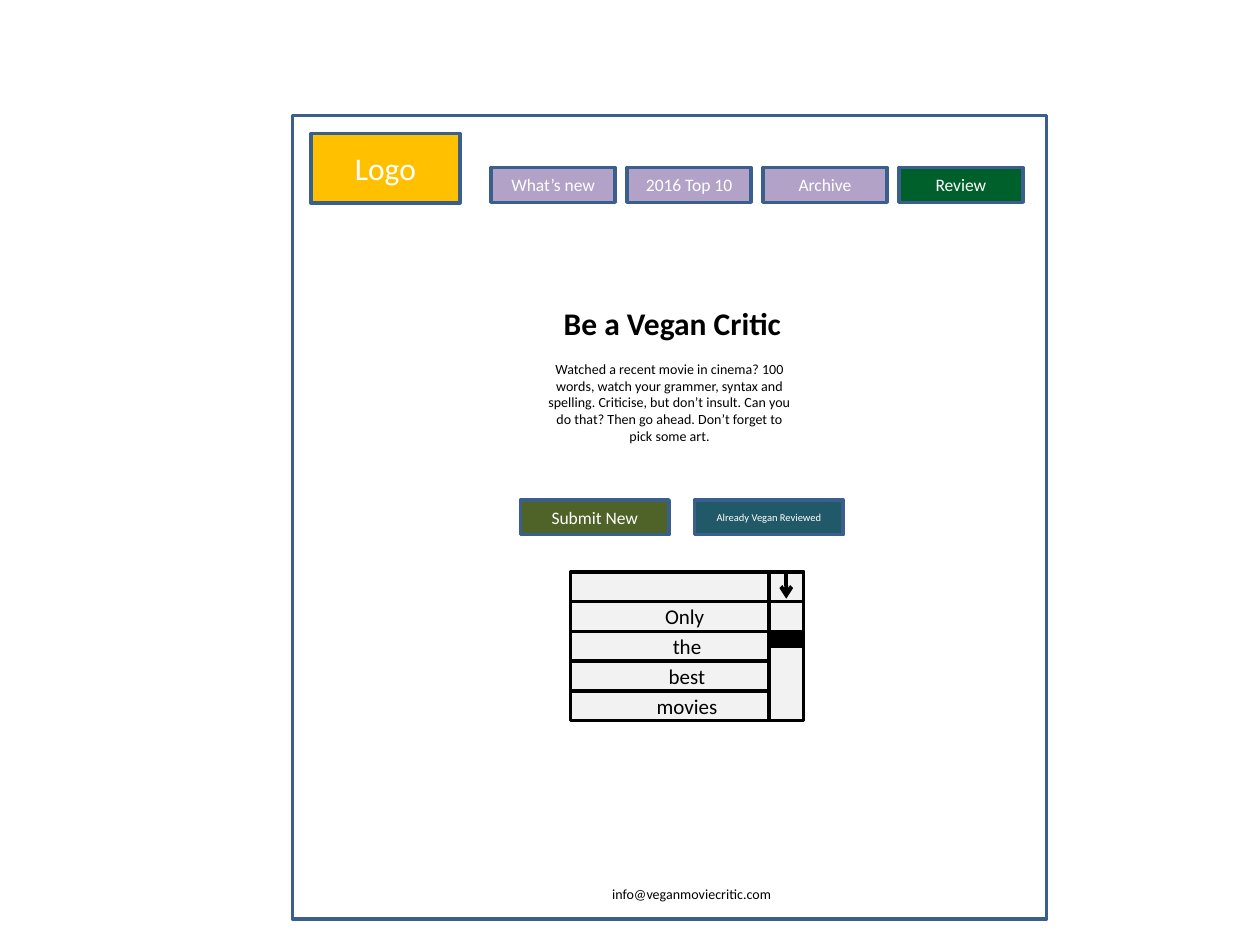
"""Build the wireframe slide of a film review site."""
from dataclasses import dataclass

from lxml import etree
from pptx import Presentation
from pptx import util as u
from pptx.dml import color
from pptx.enum import shapes, text
from pptx.oxml import ns

COLOURS = {
    "white": "FFFFFF", "black": "000000", "border": "3A5F8C",
    "purple": "B3A2C7", "green": "00602B", "olive": "4F6228",
    "teal": "215968", "gold": "FFC000", "grey": "F2F2F2",
}
FONT = "Calibri"


@dataclass
class Box:
    left: float
    top: float
    width: float
    height: float
    fill: str
    wording: str = ""
    size: float = 10
    border: str = "border"
    ink: str = "white"


@dataclass
class Caption:
    left: float
    top: float
    width: float
    height: float
    wording: str
    size: float
    align: text.PP_ALIGN = text.PP_ALIGN.CENTER
    bold: bool = False


def rgb(name: str) -> color.RGBColor:
    return color.RGBColor.from_string(COLOURS[name])


def write(frame, wording: str, size: float, ink: str, align, anchor, bold: bool = False) -> None:
    frame.text = wording
    frame.word_wrap = True
    frame.vertical_anchor = anchor
    paragraph = frame.paragraphs[0]
    paragraph.alignment = align
    for run in paragraph.runs:
        run.font.name = FONT
        run.font.size = u.Pt(size)
        run.font.bold = bold
        run.font.color.rgb = rgb(ink)


def draw_box(slide, box: Box):
    panel = slide.shapes.add_shape(
        shapes.MSO_SHAPE.RECTANGLE,
        u.Cm(box.left), u.Cm(box.top), u.Cm(box.width), u.Cm(box.height))
    panel.shadow.inherit = False
    panel.fill.solid()
    panel.fill.fore_color.rgb = rgb(box.fill)
    panel.line.color.rgb = rgb(box.border)
    panel.line.width = u.Pt(2)
    if box.wording:
        write(panel.text_frame, box.wording, box.size, box.ink,
              text.PP_ALIGN.CENTER, text.MSO_ANCHOR.MIDDLE)
    return panel


def set_caption(holder, caption: Caption) -> None:
    holder.left, holder.top = u.Cm(caption.left), u.Cm(caption.top)
    holder.width, holder.height = u.Cm(caption.width), u.Cm(caption.height)
    write(holder.text_frame, caption.wording, caption.size, "black",
          caption.align, text.MSO_ANCHOR.TOP, caption.bold)


def draw_arrow(slide, x: float, start: float, end: float) -> None:
    arrow = slide.shapes.add_connector(
        shapes.MSO_CONNECTOR.STRAIGHT, u.Cm(x), u.Cm(start), u.Cm(x), u.Cm(end))
    arrow.line.color.rgb = rgb("black")
    arrow.line.width = u.Pt(2.25)
    etree.SubElement(arrow.line._get_or_add_ln(), ns.qn("a:tailEnd"), type="arrow")
    etree.SubElement(arrow.element.spPr, ns.qn("a:effectLst"))


def main() -> None:
    deck = Presentation()
    deck.slide_width, deck.slide_height = u.Cm(25.4), u.Cm(19.05)
    slide = deck.slides.add_slide(deck.slide_layouts[5])

    page = draw_box(slide, Box(5.9, 2.33, 15.2, 16.2, "white"))
    heading = slide.shapes.title
    page.element.addnext(heading.element)
    set_caption(heading, Caption(8.43, 6, 10.25, 1.02, "Be a Vegan Critic", 18, bold=True))

    draw_box(slide, Box(6.27, 2.69, 3, 1.4, "gold", "Logo", 18))
    tabs = [("What’s new", "purple"), ("2016 Top 10", "purple"),
            ("Archive", "purple"), ("Review", "green")]
    for index, (wording, fill) in enumerate(tabs):
        draw_box(slide, Box(9.9 + 2.74 * index, 3.38, 2.5, 0.7, fill, wording))
    draw_box(slide, Box(10.49, 10.08, 3, 0.7, "olive", "Submit New"))
    draw_box(slide, Box(14, 10.08, 3, 0.7, "teal", "Already Vegan Reviewed", 6))

    captions = [
        Caption(10.8, 7.14, 5.4, 1.96,
                "Watched a recent movie in cinema? 100 words, watch your grammer, "
                "syntax and spelling. Criticise, but don’t insult. Can you do that? "
                "Then go ahead. Don’t forget to pick some art.", 8),
        Caption(12.09, 17.73, 3.99, 0.6, "info@veganmoviecritic.com", 8, text.PP_ALIGN.LEFT),
    ]
    for caption in captions:
        set_caption(slide.shapes.add_textbox(0, 0, 0, 0), caption)

    menu_left, menu_top, menu_width, row_height = 11.5, 11.53, 4.7, 0.6
    for index, wording in enumerate(["", "Only ", "the", "best", "movies"]):
        draw_box(slide, Box(menu_left, menu_top + row_height * index, menu_width, row_height,
                            "grey", wording, 12, "black", "black"))
    bar_width = 0.7
    bar_left = menu_left + menu_width - bar_width
    scroll_parts = [(0, row_height, "grey"), (row_height, 4 * row_height, "grey"),
                    (2 * row_height, row_height / 2, "black")]
    for offset, height, fill in scroll_parts:
        draw_box(slide, Box(bar_left, menu_top + offset, bar_width, height, fill, border="black"))
    draw_arrow(slide, bar_left + bar_width / 2, menu_top + 0.05, menu_top + 0.54)

    deck.save("out.pptx")


main()
